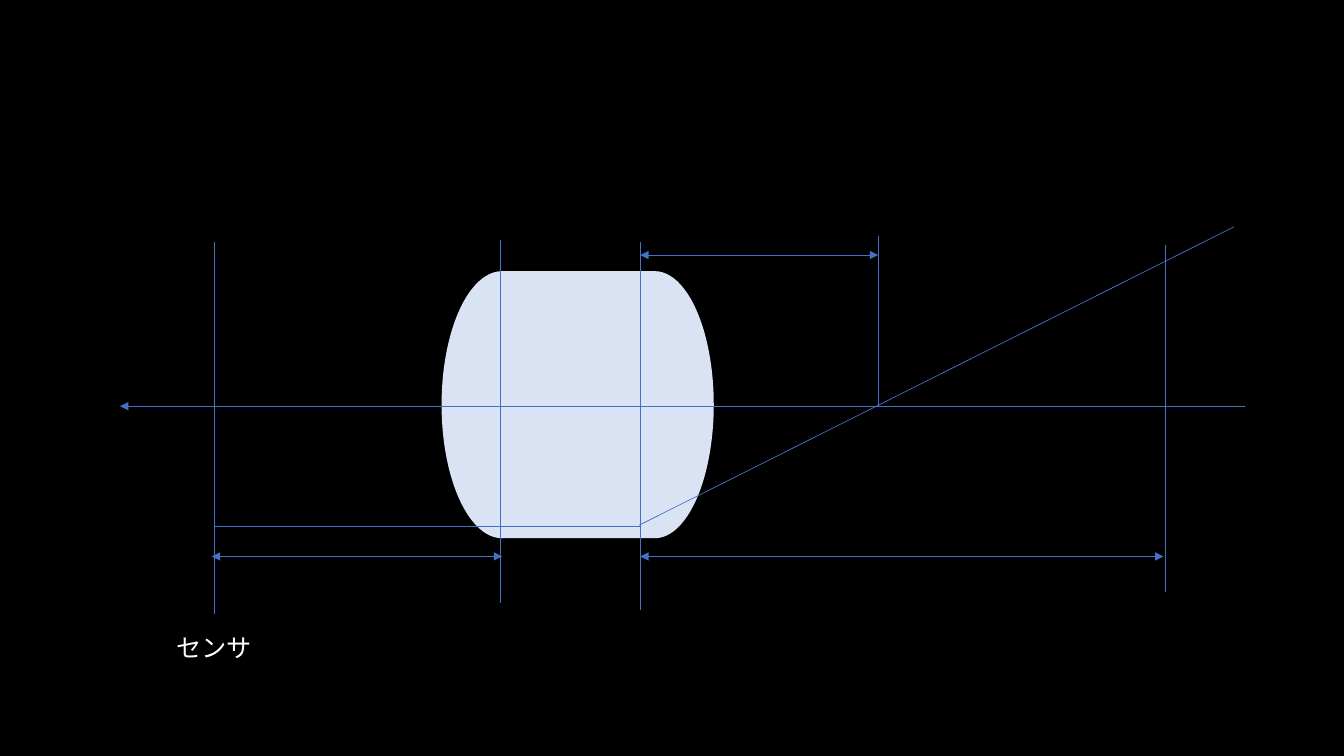
"""Draw a lens diagram with its optical axis, a light ray and distance arrows."""
from dataclasses import dataclass

from lxml import etree
from pptx import Presentation
from pptx.dml.color import RGBColor
from pptx.enum import shapes, text
from pptx.oxml import ns
from pptx.shapes.autoshape import Shape
from pptx.shapes.shapetree import GroupShapes
from pptx.util import Inches, Pt

BLACK = RGBColor(0x00, 0x00, 0x00)
WHITE = RGBColor(0xFF, 0xFF, 0xFF)
LENS_BLUE = RGBColor(0xDA, 0xE3, 0xF3)
LINE_BLUE = RGBColor(0x44, 0x72, 0xC4)

SENSOR_X, REAR_X, FRONT_X, FOCUS_X, OBJECT_X = 2.13, 4.96, 6.35, 8.71, 11.56
AXIS_Y, RAY_Y, DISTANCE_Y, FOCAL_Y = 4.03, 5.22, 5.52, 2.53
LENS_TOP, LENS_HEIGHT = 2.69, 2.65
PIE_ANGLES = (53.867, 162)


@dataclass(frozen=True)
class LensPart:
    preset: shapes.MSO_SHAPE
    left: float
    width: float
    mirrored: bool = False


@dataclass(frozen=True)
class Line:
    start: tuple[float, float]
    end: tuple[float, float]
    arrows: tuple[str, ...] = ()


BOTH_ENDS = ("headEnd", "tailEnd")

LENS_PARTS = (
    LensPart(shapes.MSO_SHAPE.PIE, 4.38, 1.2),
    LensPart(shapes.MSO_SHAPE.PIE, 5.91, 1.17, mirrored=True),
    LensPart(shapes.MSO_SHAPE.RECTANGLE, REAR_X, 1.54),
)

LINES = (
    Line((1.19, AXIS_Y), (12.35, AXIS_Y), ("headEnd",)),
    Line((SENSOR_X, RAY_Y), (FRONT_X, RAY_Y)),
    Line((6.34, 5.21), (12.24, 2.25)),
    Line((FRONT_X, DISTANCE_Y), (11.54, DISTANCE_Y), BOTH_ENDS),
    Line((FRONT_X, FOCAL_Y), (FOCUS_X, FOCAL_Y), BOTH_ENDS),
    Line((OBJECT_X, 5.87), (OBJECT_X, 2.43)),
    Line((SENSOR_X, 6.09), (SENSOR_X, 2.4)),
    Line((REAR_X, 5.98), (REAR_X, 2.38)),
    Line((FRONT_X, 6.05), (FRONT_X, 2.4)),
    Line((4.98, DISTANCE_Y), (2.1, DISTANCE_Y), BOTH_ENDS),
    Line((FOCUS_X, AXIS_Y), (FOCUS_X, 2.34)),
)


def draw_lens_part(group: GroupShapes, part: LensPart) -> Shape:
    shape = group.add_shape(part.preset, Inches(part.left), Inches(LENS_TOP),
                            Inches(part.width), Inches(LENS_HEIGHT))
    shape.shadow.inherit = False
    shape.fill.solid()
    shape.fill.fore_color.rgb = LENS_BLUE
    shape.line.fill.background()
    if part.preset == shapes.MSO_SHAPE.PIE:
        for index, angle in enumerate(PIE_ANGLES):
            shape.adjustments[index] = angle
    if part.mirrored:
        shape.element.spPr.find(ns.qn("a:xfrm")).set("flipH", "1")
    return shape


def draw_line(group: GroupShapes, line: Line) -> None:
    connector = group.add_connector(shapes.MSO_CONNECTOR.STRAIGHT,
                                    *map(Inches, line.start + line.end))
    connector.line.color.rgb = LINE_BLUE
    connector.line.width = Pt(0.5)
    properties = connector.element.spPr
    outline = properties.find(ns.qn("a:ln"))
    for arrow in line.arrows:
        etree.SubElement(outline, ns.qn(f"a:{arrow}"), type="triangle")
    etree.SubElement(properties, ns.qn("a:effectLst"))


def draw_label(group: GroupShapes, label: str) -> None:
    box = group.add_textbox(Inches(1.65), Inches(6.22), Inches(0.96), Inches(0.4))
    frame = box.text_frame
    frame.text = label
    frame.word_wrap = False
    frame.auto_size = text.MSO_AUTO_SIZE.SHAPE_TO_FIT_TEXT
    font = frame.paragraphs[0].runs[0].font
    font.name = "Calibri"
    font.size = Pt(18)
    font.color.rgb = WHITE


def main() -> None:
    presentation = Presentation()
    presentation.slide_width = Inches(13.33)
    presentation.slide_height = Inches(7.5)
    slide = presentation.slides.add_slide(presentation.slide_layouts[6])
    slide.background.fill.solid()
    slide.background.fill.fore_color.rgb = BLACK

    diagram = slide.shapes.add_group_shape().shapes
    for part in LENS_PARTS:
        draw_lens_part(diagram, part)
    for line in LINES:
        draw_line(diagram, line)
    draw_label(diagram, "センサ")
    presentation.save("out.pptx")


if __name__ == "__main__":
    main()
